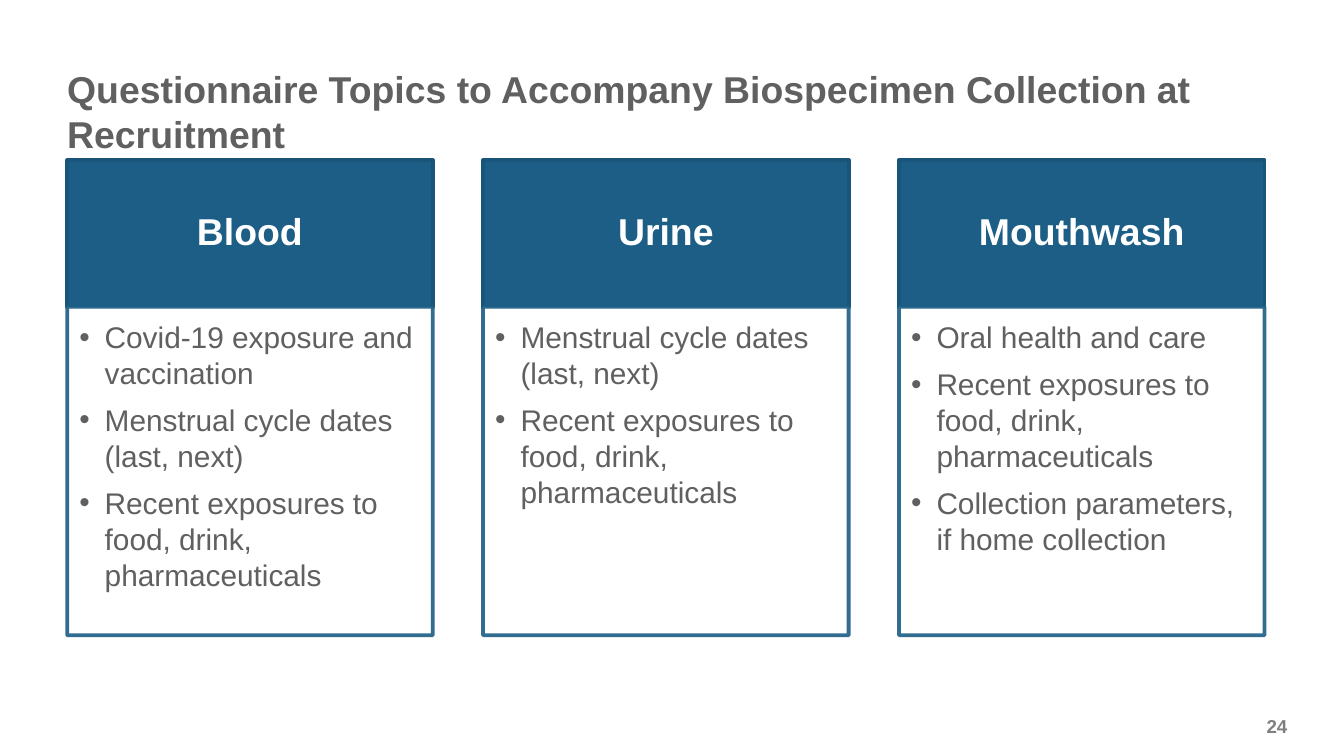
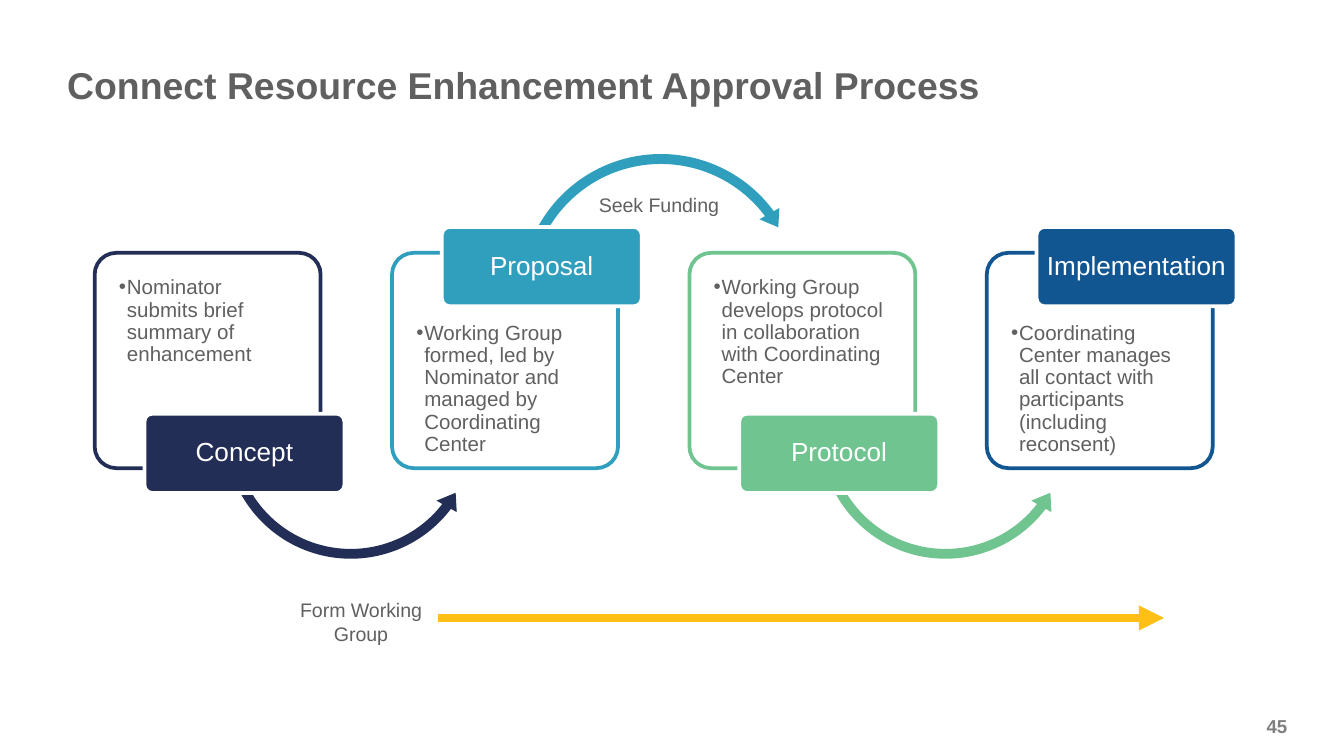
from dataclasses import dataclass

from lxml import etree
from pptx import Presentation
from pptx.dml.color import RGBColor as RGB
from pptx.enum.shapes import MSO_CONNECTOR as Connector, MSO_SHAPE as Shape
from pptx.enum.text import MSO_ANCHOR as Anchor, MSO_AUTO_SIZE as AutoSize, PP_ALIGN as Align
from pptx.oxml.ns import qn
from pptx.util import Cm, Pt


@dataclass(frozen=True)
class Theme:
    font: str = "Arial"
    text: str = "606060"
    page: str = "7F7F7F"
    white: str = "FFFFFF"
    header: str = "1C5E86"
    header_line: str = "19557A"
    timeline: str = "FFBF17"
    concept: str = "222E56"
    proposal: str = "309FBE"
    protocol: str = "6FC490"
    implementation: str = "115691"
    title_size: float = 20
    list_size: float = 16
    step_size: float = 14
    detail_size: float = 11
    note_size: float = 10.5
    page_size: float = 10
    line: float = 2
    timeline_line: float = 4.5


THEME = Theme()

# Content
SPECIMENS = [
    ("Blood", ["Covid-19 exposure and vaccination",
               "Menstrual cycle dates (last, next)",
               "Recent exposures to food, drink, pharmaceuticals"]),
    ("Urine", ["Menstrual cycle dates (last, next)",
               "Recent exposures to food, drink, pharmaceuticals"]),
    ("Mouthwash", ["Oral health and care",
                   "Recent exposures to food, drink, pharmaceuticals",
                   "Collection parameters, if home collection"]),
]
STEPS = [
    ("Concept", THEME.concept, "Nominator submits brief summary of enhancement"),
    ("Proposal", THEME.proposal,
     "Working Group formed, led by Nominator and managed by Coordinating Center"),
    ("Protocol", THEME.protocol,
     "Working Group develops protocol in collaboration with Coordinating Center"),
    ("Implementation", THEME.implementation,
     "Coordinating Center manages all contact with participants (including reconsent)"),
]

# Curved arrows: shape, offset from card, top, diameter, adjustments
ARROW_BELOW = (Shape.LEFT_CIRCULAR_ARROW, 2.34, 5.69, 5.0,
               (0.037, 4.659, 22.414, 90.245, 0.044))
ARROW_ABOVE = (Shape.CIRCULAR_ARROW, 2.31, 2.79, 5.54,
               (0.034, 4.164, 194.081, 125.755, 0.039))


# Formatting helpers
def box(left, top, width, height):
    return Cm(left), Cm(top), Cm(width), Cm(height)


def set_alpha(properties, percent):
    """Make the solid fill of a shape or line partly transparent."""
    color = properties.find(qn("a:solidFill"))[0]
    etree.SubElement(color, qn("a:alpha")).set("val", str(percent * 1000))


def set_bullet(paragraph, indent):
    props = paragraph._p.get_or_add_pPr()
    props.set("marL", str(Cm(indent)))
    props.set("indent", str(-Cm(indent)))
    etree.SubElement(props, qn("a:buFont")).set("typeface", THEME.font)
    etree.SubElement(props, qn("a:buChar")).set("char", "•")


def write(shape, lines, size, color=THEME.text, bold=False, align=Align.LEFT,
          anchor=Anchor.TOP, insets=(0, 0, 0, 0), spacing=None, after=0, bullet=None):
    frame = shape.text_frame
    frame.text = "\n".join(lines)
    frame.word_wrap = True
    frame.auto_size = AutoSize.NONE
    frame.vertical_anchor = anchor
    (frame.margin_left, frame.margin_top,
     frame.margin_right, frame.margin_bottom) = map(Cm, insets)
    for paragraph in frame.paragraphs:
        if bullet:
            set_bullet(paragraph, bullet)
        paragraph.alignment = align
        paragraph.space_after = Pt(after)
        if spacing:
            paragraph.line_spacing = spacing
        for run in paragraph.runs:
            run.font.name, run.font.size, run.font.bold = THEME.font, Pt(size), bold
            run.font.color.rgb = RGB.from_string(color)


def add_panel(slide, kind, place, fill, line=None, adjustments=()):
    panel = slide.shapes.add_shape(kind, *box(*place))
    panel.shadow.inherit = False
    panel.fill.solid()
    panel.fill.fore_color.rgb = RGB.from_string(fill)
    if line:
        panel.line.color.rgb = RGB.from_string(line)
        panel.line.width = Pt(THEME.line)
    else:
        panel.line.fill.background()
    for index, value in enumerate(adjustments):
        panel.adjustments[index] = value
    return panel


# Slide parts
def add_slide(deck, title, title_top, title_height, number):
    slide = deck.slides.add_slide(deck.slide_layouts.get_by_name("Title Only"))
    heading = slide.shapes.title
    heading.left, heading.top, heading.width, heading.height = box(
        1.27, title_top, 22.86, title_height)
    write(heading, [title], THEME.title_size, bold=True, anchor=Anchor.MIDDLE,
          spacing=Pt(24))
    page = slide.shapes.add_textbox(*box(23.47, 13.51, 0.86, 0.51))
    write(page, [number], THEME.page_size, THEME.page, bold=True, align=Align.RIGHT)
    return slide


def add_specimen(slide, left, name, topics):
    header = add_panel(slide, Shape.RECTANGLE, (left, 3.03, 6.91, 2.77),
                       THEME.header, THEME.header_line)
    write(header, [name], THEME.title_size, THEME.white, bold=True, align=Align.CENTER,
          anchor=Anchor.MIDDLE, insets=(0.41, 0.23, 0.41, 0.23), spacing=0.9)
    body = add_panel(slide, Shape.RECTANGLE, (left, 5.8, 6.91, 6.21),
                     THEME.white, THEME.header)
    set_alpha(body._element.spPr, 90)
    set_alpha(body._element.spPr.find(qn("a:ln")), 90)
    write(body, topics, THEME.list_size, insets=(0.23, 0.23, 0.3, 0.36), after=6,
          bullet=0.48)


def add_step(slide, left, name, color, detail, label_on_top, arrow):
    card = add_panel(slide, Shape.ROUNDED_RECTANGLE, (left, 4.78, 4.27, 4.07),
                     THEME.white, color, (0.1,))
    set_alpha(card._element.spPr, 90)
    write(card, [detail], THEME.detail_size, spacing=0.9, bullet=0.15,
          insets=(0.34, 1.2 if label_on_top else 0.34, 0.34, 0.1))
    if arrow:
        kind, offset, top, diameter, adjustments = arrow
        add_panel(slide, kind, (left + offset, top, diameter, diameter), color,
                  adjustments=adjustments)
    label = add_panel(slide, Shape.ROUNDED_RECTANGLE,
                      (left + 0.94, 4.29 if label_on_top else 7.82, 3.78, 1.5),
                      color, THEME.white, (0.1,))
    write(label, [name], THEME.step_size, THEME.white, align=Align.CENTER,
          anchor=Anchor.MIDDLE, insets=(0.08, 0.05, 0.08, 0.05), spacing=0.9)


def add_note(slide, left, top, height, text):
    note = slide.shapes.add_textbox(*box(left, top, 3.43, height))
    write(note, [text], THEME.note_size, align=Align.CENTER,
          insets=(0.25, 0.13, 0.25, 0.13))
    note.text_frame.auto_size = AutoSize.SHAPE_TO_FIT_TEXT


def add_timeline(slide, start, end, top):
    timeline = slide.shapes.add_connector(
        Connector.STRAIGHT, Cm(start), Cm(top), Cm(end), Cm(top))
    timeline.line.color.rgb = RGB.from_string(THEME.timeline)
    timeline.line.width = Pt(THEME.timeline_line)
    etree.SubElement(timeline.line._get_or_add_ln(), qn("a:tailEnd")).set("type", "triangle")
    etree.SubElement(timeline._element.spPr, qn("a:effectLst"))


# Slides
def build_questionnaire(deck):
    slide = add_slide(
        deck, "Questionnaire Topics to Accompany Biospecimen Collection at Recruitment",
        1.17, 1.85, "24")
    for column, (name, topics) in enumerate(SPECIMENS):
        add_specimen(slide, 1.27 + 7.86 * column, name, topics)


def build_approval(deck):
    slide = add_slide(deck, "Connect Resource Enhancement Approval Process",
                      0.79, 1.63, "45")
    for index, (name, color, detail) in enumerate(STEPS):
        label_on_top = index % 2 == 1
        arrow = ARROW_ABOVE if label_on_top else ARROW_BELOW
        if index == len(STEPS) - 1:
            arrow = None
        add_step(slide, 1.79 + 5.62 * index, name, color, detail, label_on_top, arrow)
    add_note(slide, 5.11, 11.18, 1.14, "Form Working Group")
    add_note(slide, 10.74, 3.51, 0.71, "Seek Funding")
    add_timeline(slide, 8.28, 22, 11.68)


def main():
    deck = Presentation()
    deck.slide_width, deck.slide_height = Cm(25.4), Cm(14.29)
    build_questionnaire(deck)
    build_approval(deck)
    deck.save("out.pptx")


if __name__ == "__main__":
    main()
